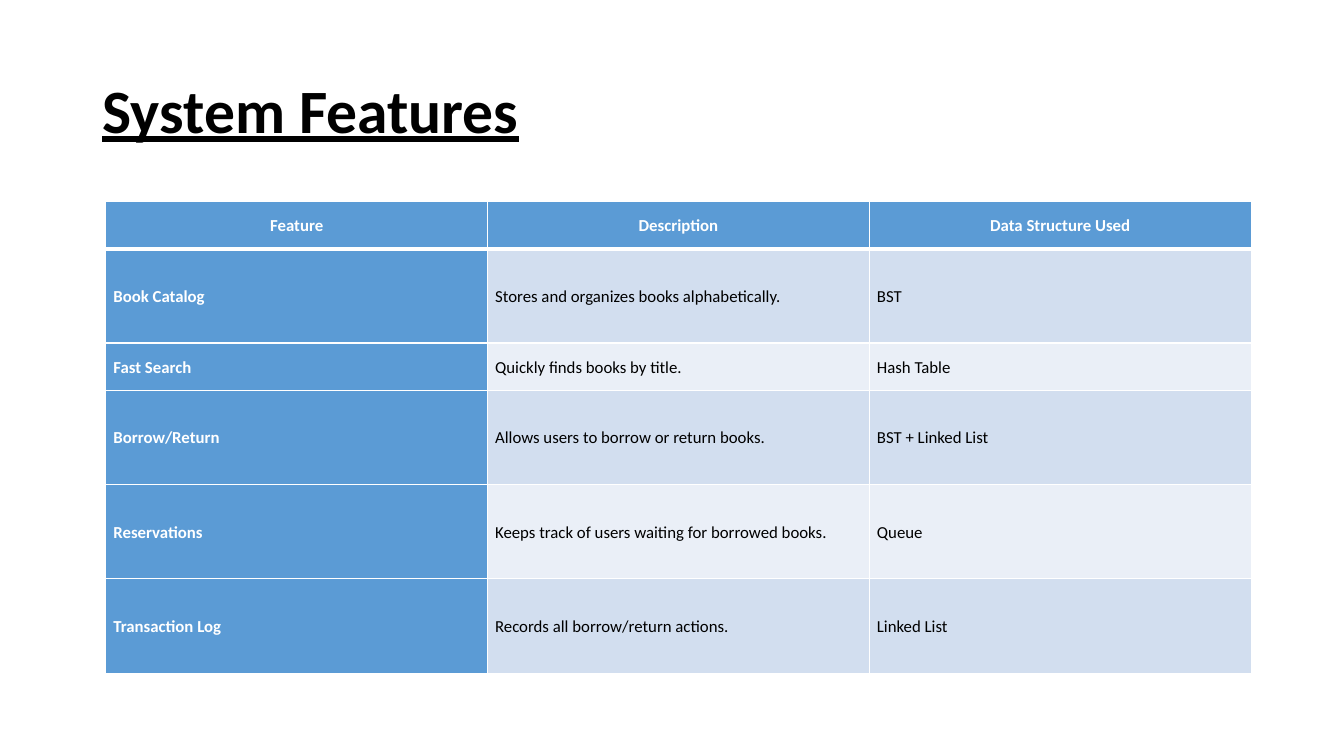
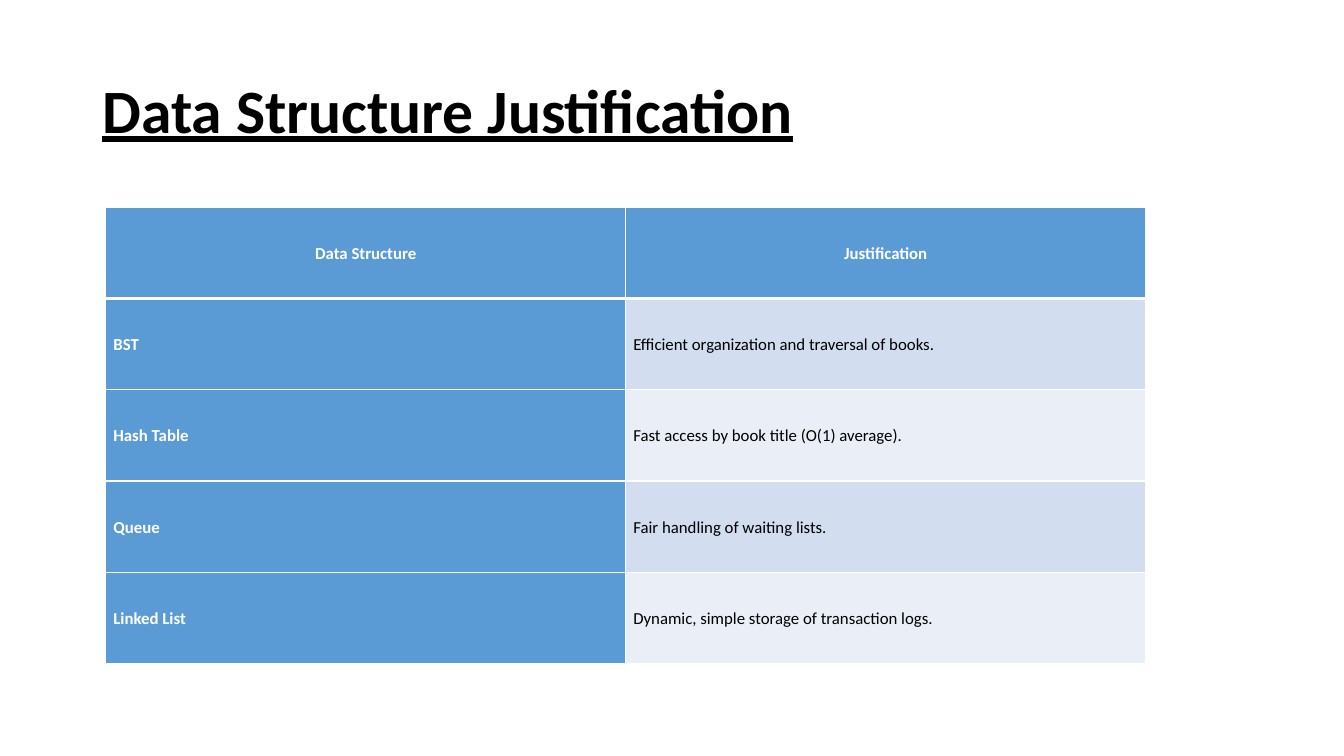
from lxml.etree import SubElement
from pptx import Presentation
from pptx.dml.color import RGBColor
from pptx.enum.text import MSO_ANCHOR, MSO_AUTO_SIZE, PP_ALIGN
from pptx.oxml.ns import qn
from pptx.util import Pt


def color(value):
    return RGBColor.from_string(value)


class Deck:
    FONT = "Calibri"
    BLACK = "000000"
    WHITE = "FFFFFF"
    ACCENT = "5B9BD5"
    BANDS = ("D2DEEF", "EAEFF7")
    TABLE_LEFT = 75.6

    def __init__(self):
        self.presentation = Presentation()
        self.presentation.slide_width = Pt(960)
        self.presentation.slide_height = Pt(540)
        self.slide = None

    def style(self, paragraph, size, fill, bold, alignment, spacing):
        paragraph.alignment = alignment
        paragraph.line_spacing = spacing
        paragraph.font.name = self.FONT
        paragraph.font.size = Pt(size)
        paragraph.font.bold = bold
        paragraph.font.color.rgb = color(fill)

    def add_slide(self, title):
        layout = self.presentation.slide_layouts.get_by_name("Title Only")
        self.slide = self.presentation.slides.add_slide(layout)
        shape = self.slide.shapes.title
        shape.left, shape.top = Pt(66), Pt(28.75)
        shape.width, shape.height = Pt(828), Pt(104.4)
        frame = shape.text_frame
        frame.text = title
        frame.word_wrap = True
        frame.auto_size = MSO_AUTO_SIZE.NONE
        frame.vertical_anchor = MSO_ANCHOR.MIDDLE
        paragraph = frame.paragraphs[0]
        self.style(paragraph, 44, self.BLACK, True, PP_ALIGN.LEFT, 0.9)
        paragraph.font.underline = True

    def add_borders(self, cell, top, bottom):
        properties = cell._tc.get_or_add_tcPr()
        for side, width in (("L", 1), ("R", 1), ("T", top), ("B", bottom)):
            line = SubElement(properties, qn(f"a:ln{side}"), w=str(Pt(width)))
            fill = SubElement(line, qn("a:solidFill"))
            SubElement(fill, qn("a:srgbClr"), val=self.WHITE)

    def fill_cell(self, cell, text, row, column):
        is_header = row == 0
        is_accent = is_header or column == 0
        self.add_borders(cell, 3 if row == 1 else 1, 3 if is_header else 1)
        cell.fill.solid()
        band = self.BANDS[(row - 1) % 2]
        cell.fill.fore_color.rgb = color(self.ACCENT if is_accent else band)
        cell.margin_left = cell.margin_right = Pt(5.4)
        cell.margin_top = cell.margin_bottom = 0
        cell.vertical_anchor = MSO_ANCHOR.MIDDLE
        cell.text = text
        self.style(
            cell.text_frame.paragraphs[0],
            12,
            self.WHITE if is_accent else self.BLACK,
            is_accent,
            PP_ALIGN.CENTER if is_header else PP_ALIGN.LEFT,
            1.07,
        )

    def add_table(self, top, column_width, row_heights, records):
        columns = len(records[0])
        table = self.slide.shapes.add_table(
            len(records), columns, Pt(self.TABLE_LEFT), Pt(top),
            Pt(column_width * columns), Pt(sum(row_heights)),
        ).table
        table.first_col = True
        for column in table.columns:
            column.width = Pt(column_width)
        for row, (height, record) in enumerate(zip(row_heights, records)):
            table.rows[row].height = Pt(height)
            for column, text in enumerate(record):
                self.fill_cell(table.cell(row, column), text, row, column)


FEATURES = [
    ("Feature", "Description", "Data Structure Used"),
    ("Book Catalog", "Stores and organizes books alphabetically.", "BST"),
    ("Fast Search", "Quickly finds books by title.", "Hash Table"),
    ("Borrow/Return", "Allows users to borrow or return books.", "BST + Linked List"),
    ("Reservations", "Keeps track of users waiting for borrowed books.", "Queue"),
    ("Transaction Log", "Records all borrow/return actions.", "Linked List"),
]

JUSTIFICATIONS = [
    ("Data Structure", "Justification"),
    ("BST", "Efficient organization and traversal of books."),
    ("Hash Table", "Fast access by book title (O(1) average)."),
    ("Queue", "Fair handling of waiting lists."),
    ("Linked List", "Dynamic, simple storage of transaction logs."),
]


def main():
    deck = Deck()
    deck.add_slide("System Features")
    line_height = 33.7
    feature_heights = [line_height * lines for lines in (1, 2, 1, 2, 2, 2)]
    deck.add_table(144, 272.7, feature_heights, FEATURES)
    deck.add_slide("Data Structure Justification")
    deck.add_table(148, 371.4, [65.2] * len(JUSTIFICATIONS), JUSTIFICATIONS)
    deck.presentation.save("out.pptx")


if __name__ == "__main__":
    main()
